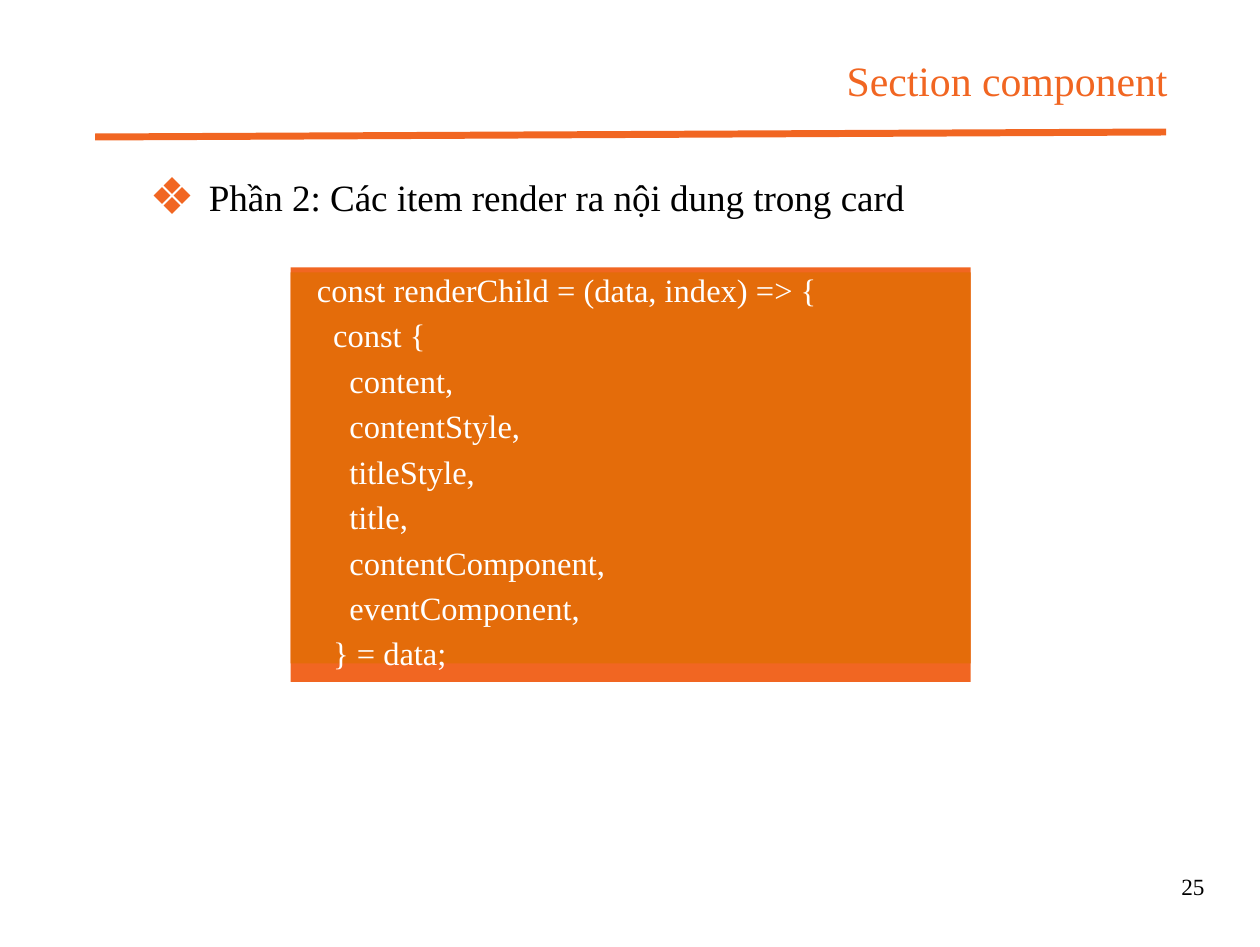
from lxml.etree import SubElement
from pptx import Presentation
from pptx.dml.color import RGBColor
from pptx.enum.shapes import MSO_CONNECTOR, MSO_SHAPE
from pptx.enum.text import MSO_ANCHOR, PP_ALIGN
from pptx.oxml.ns import qn
from pptx.util import Inches, Pt

ORANGE, DARK_ORANGE = "F16622", "E46C0A"
BLACK, WHITE = "000000", "FFFFFF"
FONT = "Times New Roman"
LINE_RATIO = 1.4
CODE_SIZE = 14
CODE = [
    (1, "const renderChild = (data, index) => {"),
    (2, "const {"),
    (3, "content,"),
    (3, "contentStyle,"),
    (3, "titleStyle,"),
    (3, "title,"),
    (3, "contentComponent,"),
    (3, "eventComponent,"),
    (2, "} = data;"),
]


def rgb(color):
    return RGBColor.from_string(color)


def add_block(slide, preset, box, color):
    block = slide.shapes.add_shape(preset, *map(Inches, box))
    block.shadow.inherit = False
    block.fill.solid()
    block.fill.fore_color.rgb = rgb(color)
    block.line.fill.background()
    return block


def format_line(paragraph, size, color, align=PP_ALIGN.LEFT):
    paragraph.alignment = align
    paragraph.line_spacing = Pt(size * LINE_RATIO)
    for run in paragraph.runs:
        run.font.name = FONT
        run.font.size = Pt(size)
        run.font.color.rgb = rgb(color)


def set_margins(frame, margin):
    frame.word_wrap = True
    frame.margin_left = frame.margin_right = Inches(margin)
    frame.margin_top = frame.margin_bottom = Inches(margin)


def add_label(slide, box, text, size, color, align=PP_ALIGN.LEFT):
    frame = slide.shapes.add_textbox(*map(Inches, box)).text_frame
    set_margins(frame, 0)
    frame.text = text
    format_line(frame.paragraphs[0], size, color, align)


def add_header(slide, left, top, width, title):
    right = left + width
    rule = slide.shapes.add_connector(
        MSO_CONNECTOR.STRAIGHT,
        *map(Inches, (left, top + 0.54, right, top + 0.51)))
    rule.line.color.rgb = rgb(ORANGE)
    rule.line.width = Pt(3)
    SubElement(rule._element.spPr, qn("a:effectLst"))
    add_label(slide, (right - 3.8, top, 3.81, 0.35), title, 18, ORANGE,
              PP_ALIGN.RIGHT)


def add_bullet_point(slide, left, top, width, text):
    size, offset = 0.1, 0.06
    for across, down in ((0, -1), (1, 0), (0, 1), (-1, 0)):
        diamond_left = left + offset * (1 + across)
        diamond_top = top + 0.06 + offset * (1 + down)
        add_block(slide, MSO_SHAPE.DIAMOND,
                  (diamond_left, diamond_top, size, size), ORANGE)
    add_label(slide, (left + 0.33, top, width - 0.33, 0.31), text, 16, BLACK)


def add_code_panel(slide, left, top, width, height, code):
    add_block(slide, MSO_SHAPE.RECTANGLE, (left, top, width, height), ORANGE)
    panel = add_block(slide, MSO_SHAPE.RECTANGLE,
                      (left, top + 0.03, width, height - 0.14), DARK_ORANGE)
    frame = panel.text_frame
    set_margins(frame, 0.06)
    frame.vertical_anchor = MSO_ANCHOR.MIDDLE
    frame.text = "\n".join(text for _, text in code)
    for paragraph, (depth, _) in zip(frame.paragraphs, code):
        format_line(paragraph, CODE_SIZE, WHITE)
        indent = Pt(CODE_SIZE / 2 * depth)
        paragraph._p.get_or_add_pPr().set("marL", str(indent))


def main():
    deck = Presentation()
    deck.slide_width = Pt(543)
    deck.slide_height = Pt(408)
    slide = deck.slides.add_slide(deck.slide_layouts[6])
    add_header(slide, 0.57, 0.28, 6.41, "Section component")
    add_bullet_point(slide, 0.92, 1, 6.06,
                     "Phần 2: Các item render ra nội dung trong card")
    add_code_panel(slide, 1.74, 1.6, 4.07, 2.48, CODE)
    add_label(slide, (6.98, 5.19, 0.23, 0.2), "25", 10, BLACK,
              PP_ALIGN.RIGHT)
    deck.save("out.pptx")


if __name__ == "__main__":
    main()
